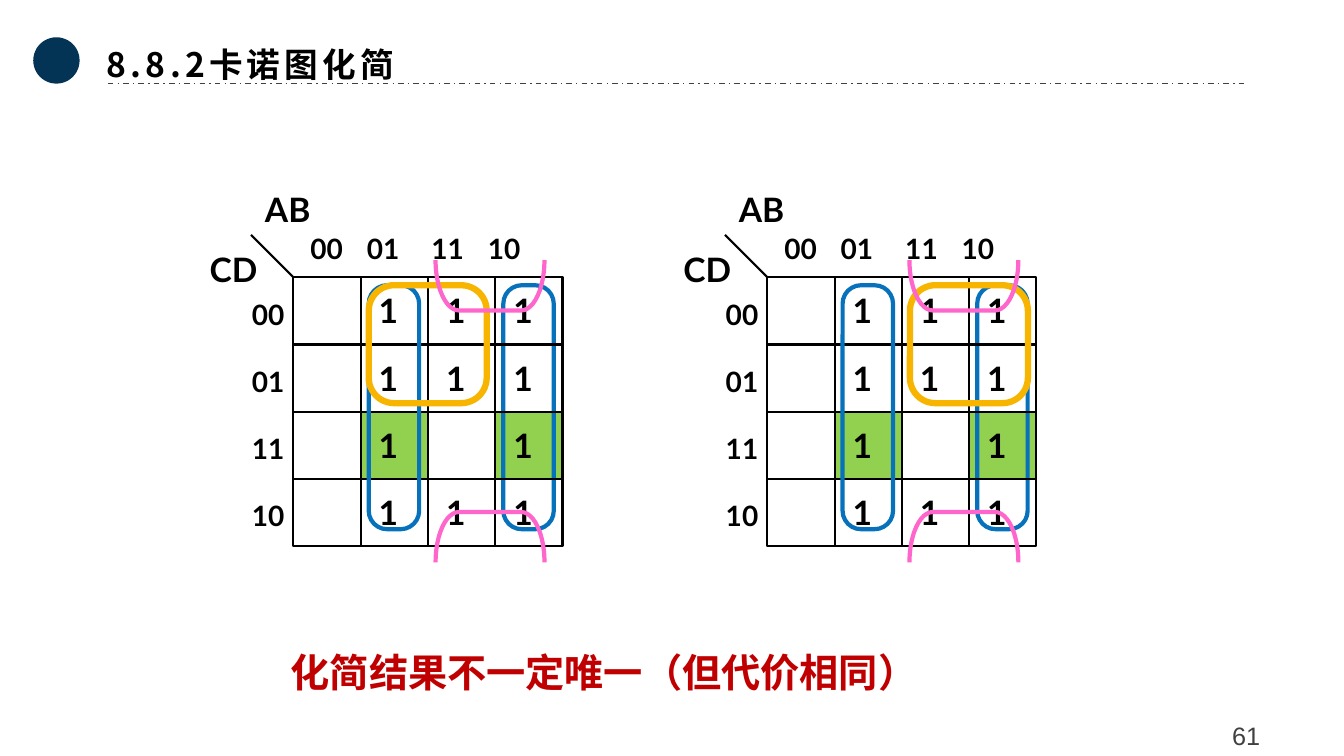
from dataclasses import dataclass

from lxml.etree import SubElement
from pptx import Presentation
from pptx.dml.color import RGBColor
from pptx.enum.dml import MSO_LINE
from pptx.enum.shapes import MSO_CONNECTOR, MSO_SHAPE
from pptx.enum.text import MSO_ANCHOR, PP_ALIGN
from pptx.oxml.ns import qn
from pptx.util import Inches, Pt

COLORS = {
    "black": "000000", "gray": "404040", "navy": "033455", "green": "92D050",
    "blue": "0772BB", "gold": "F7B500", "pink": "FF66CC", "red": "C00000",
}
LATIN_FONT = "Lato"
CHINESE_FONT = "Noto Sans CJK SC"
CELL = 2.67 / 4
SIDE = 4 * CELL
MAP_TOP = 2.75
INSET = 0.08
GRAY_CODES = ["00", "01", "11", "10"]
HEADER_TABS = [0.56, 1.2, 1.76]
ONES = ["0111", "0111", "0101", "0111"]
SHADED_CELLS = [(2, 1), (2, 3)]


@dataclass
class KarnaughMap:
    left: float
    gold_column: int


@dataclass
class Loop:
    column: int
    width: float
    height: float
    color: str
    weight: float
    rounding: float


@dataclass
class Bracket:
    top: float
    rotation: int


@dataclass
class Label:
    text: str
    left: float
    top: float
    width: float
    height: float


MAPS = [KarnaughMap(2.91, 1), KarnaughMap(7.61, 2)]
BRACKETS = [Bracket(2.29, 270), Bracket(4.79, 90)]
AXIS_LABELS = [Label("CD", -0.93, 2.42, 0.68, 0.5), Label("AB", -0.38, 1.83, 0.66, 0.5)]


def rgb(name: str) -> RGBColor:
    return RGBColor.from_string(COLORS[name])


def format_paragraph(paragraph, size: float, color: str = "black", font: str = LATIN_FONT,
                     bold: bool = True) -> None:
    for run in paragraph.runs:
        run.font.size = Pt(size)
        run.font.bold = bold
        run.font.name = font
        run.font.color.rgb = rgb(color)
        if font == CHINESE_FONT:
            SubElement(run._r.get_or_add_rPr(), qn("a:ea"), typeface=font)


def add_text(shapes, label: Label, size: float, wrap: bool = False):
    text_box = shapes.add_textbox(Inches(label.left), Inches(label.top),
                                  Inches(label.width), Inches(label.height))
    text_box.text_frame.word_wrap = wrap
    text_box.text_frame.text = label.text
    for paragraph in text_box.text_frame.paragraphs:
        format_paragraph(paragraph, size)
    return text_box


def add_outline(shapes, kind: MSO_SHAPE, left: float, top: float, width: float, height: float,
                fill: str = "", line: str = "", weight: float = 1.5):
    shape = shapes.add_shape(kind, Inches(left), Inches(top), Inches(width), Inches(height))
    shape.shadow.inherit = False
    if fill:
        shape.fill.solid()
        shape.fill.fore_color.rgb = rgb(fill)
    else:
        shape.fill.background()
    if line:
        shape.line.color.rgb = rgb(line)
        shape.line.width = Pt(weight)
    else:
        shape.line.fill.background()
    return shape


def add_line(shapes, start: tuple[float, float], end: tuple[float, float],
             color: str = "black", weight: float = 1.5):
    connector = shapes.add_connector(MSO_CONNECTOR.STRAIGHT, Inches(start[0]), Inches(start[1]),
                                     Inches(end[0]), Inches(end[1]))
    connector.line.color.rgb = rgb(color)
    connector.line.width = Pt(weight)
    SubElement(connector._element.spPr, qn("a:effectLst"))
    return connector


def add_loop(shapes, left: float, loop: Loop) -> None:
    shape = add_outline(shapes, MSO_SHAPE.ROUNDED_RECTANGLE, left + loop.column * CELL + INSET,
                        MAP_TOP + INSET, loop.width, loop.height,
                        line=loop.color, weight=loop.weight)
    shape.adjustments[0] = loop.rounding


def add_labels(shapes, left: float) -> None:
    for label in AXIS_LABELS:
        add_text(shapes, Label(label.text, left + label.left, label.top,
                               label.width, label.height), 24)
    header = add_text(shapes, Label("\t".join(GRAY_CODES), left + 0.07, 2.25, 2.59, 0.43), 20, True)
    properties = header.text_frame.paragraphs[0]._p.get_or_add_pPr()
    tab_list = SubElement(properties, qn("a:tabLst"))
    for position in HEADER_TABS:
        SubElement(tab_list, qn("a:tab"), pos=str(Inches(position)), algn="l")
    rows = add_text(shapes, Label("\n".join(GRAY_CODES), left - 0.51, 2.9, 0.56, 2.43), 20)
    for paragraph in rows.text_frame.paragraphs[1:]:
        paragraph.space_before = Pt(24)


def add_grid(shapes, left: float) -> None:
    frame = add_outline(shapes, MSO_SHAPE.RECTANGLE, left, MAP_TOP, SIDE, SIDE, line="black")
    for index in range(1, 4):
        x, y = left + index * CELL, MAP_TOP + index * CELL
        row_line = add_line(shapes, (left, y), (left + SIDE, y))
        column_line = add_line(shapes, (x, MAP_TOP), (x, MAP_TOP + SIDE))
        if index == 2:
            row_line.begin_connect(frame, 1)
            row_line.end_connect(frame, 3)
            column_line.begin_connect(frame, 0)
            column_line.end_connect(frame, 2)
    add_line(shapes, (left, MAP_TOP), (left - 0.42, MAP_TOP - 0.42))


def add_map(slide, karnaugh_map: KarnaughMap) -> None:
    shapes = slide.shapes.add_group_shape().shapes
    left = karnaugh_map.left
    for row, column in SHADED_CELLS:
        add_outline(shapes, MSO_SHAPE.RECTANGLE, left + column * CELL, MAP_TOP + row * CELL,
                    CELL, CELL, fill="green")
    add_loop(shapes, left, Loop(3, 0.5, 2.42, "blue", 3, 0.365))
    add_labels(shapes, left)
    add_grid(shapes, left)
    for row, values in enumerate(ONES):
        for column, value in enumerate(values):
            if value == "1":
                add_text(shapes, Label(value, left + column * CELL + INSET,
                                       MAP_TOP + row * CELL + INSET, 0.41, 0.5), 24)
    add_loop(shapes, left, Loop(1, 0.5, 2.42, "blue", 3, 0.365))
    add_loop(shapes, left, Loop(karnaugh_map.gold_column, 1.17, 1.17, "gold", 4.5, 0.216))
    for bracket in BRACKETS:
        shape = add_outline(shapes, MSO_SHAPE.LEFT_BRACKET, left + 1.7, bracket.top, 0.5, 1.08,
                            line="pink", weight=3)
        shape.adjustments[0] = 0.462
        shape.rotation = bracket.rotation


def add_title(slide) -> None:
    title = slide.shapes.title
    title.left, title.top, title.width, title.height = map(Inches, (0.96, 0.3, 11.4, 0.59))
    title.text_frame.text = "8.8.2卡诺图化简"
    title.text_frame.vertical_anchor = MSO_ANCHOR.MIDDLE
    paragraph = title.text_frame.paragraphs[0]
    paragraph.alignment = PP_ALIGN.LEFT
    paragraph.line_spacing = 1.2
    format_paragraph(paragraph, 24, font=CHINESE_FONT)
    paragraph.runs[0]._r.get_or_add_rPr().set("spc", "300")


def main() -> None:
    presentation = Presentation()
    presentation.slide_width, presentation.slide_height = Inches(13.33), Inches(7.5)
    slide = presentation.slides.add_slide(presentation.slide_layouts[5])
    add_title(slide)
    add_outline(slide.shapes, MSO_SHAPE.OVAL, 0.33, 0.37, 0.46, 0.46, fill="navy")
    rule = add_line(slide.shapes, (1.07, 0.83), (12.36, 0.83), "gray", 1)
    rule.line.dash_style = MSO_LINE.DASH_DOT
    for karnaugh_map in MAPS:
        add_map(slide, karnaugh_map)
    conclusion = add_text(slide.shapes, Label("化简结果不一定唯一（但代价相同）", 2.55, 6.24, 6.88, 0.71), 28, True)
    paragraph = conclusion.text_frame.paragraphs[0]
    paragraph.alignment = PP_ALIGN.CENTER
    paragraph.line_spacing = 1.3
    format_paragraph(paragraph, 28, "red", CHINESE_FONT)
    number = add_text(slide.shapes, Label("61", 11.48, 7.05, 1.76, 0.43), 18, True)
    number.text_frame.vertical_anchor = MSO_ANCHOR.MIDDLE
    paragraph = number.text_frame.paragraphs[0]
    paragraph.alignment = PP_ALIGN.CENTER
    paragraph.line_spacing = 1.2
    format_paragraph(paragraph, 18, "gray", "Arial", False)
    presentation.save("out.pptx")


if __name__ == "__main__":
    main()
